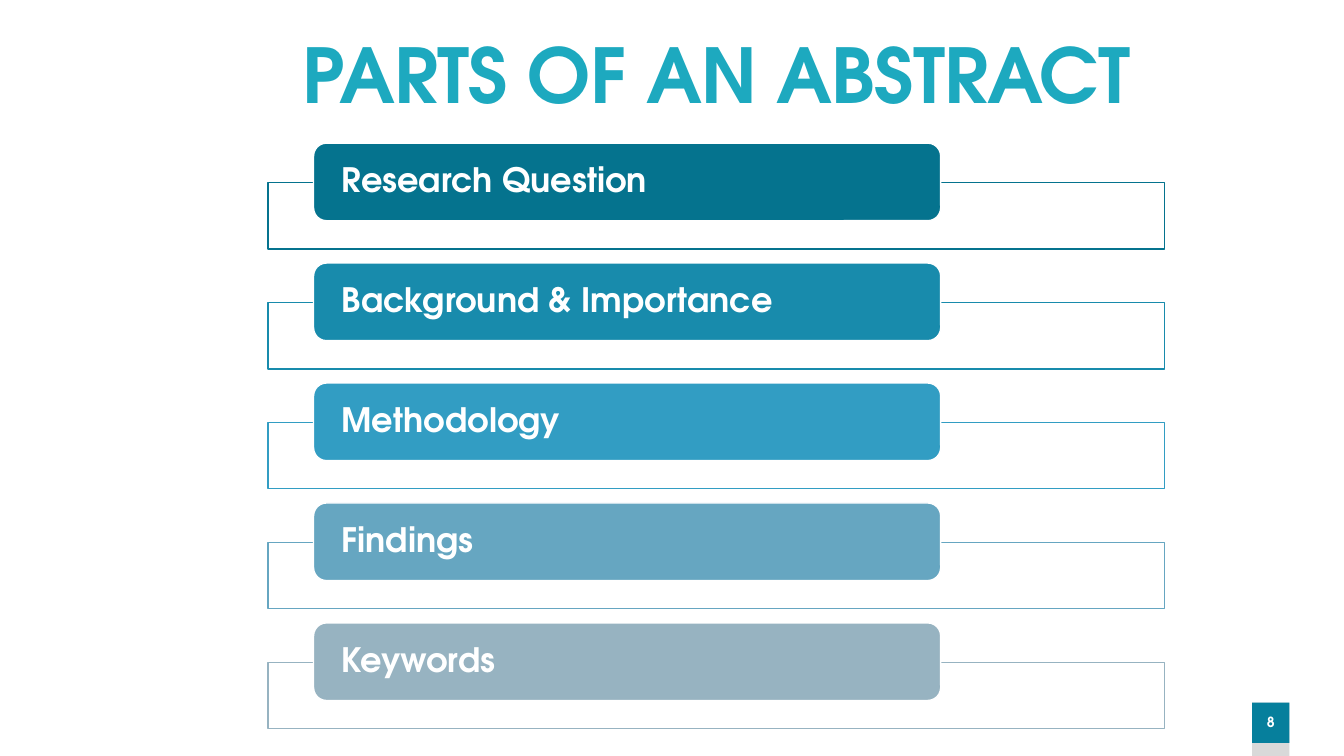
from pptx import Presentation
from pptx.dml.color import RGBColor
from pptx.enum import shapes, text
from pptx.oxml.ns import qn
from pptx.util import Inches, Pt
from lxml import etree

# Content
TITLE = "PARTS OF AN ABSTRACT"
PAGE_NUMBER = "8"
PARTS = [
    ("Research Question", "05738E"),
    ("Background & Importance", "188BAC"),
    ("Methodology", "329DC3"),
    ("Findings", "66A6C1"),
    ("Keywords", "97B3C1"),
]

# Style and layout, in inches
COLORS = {"title": "1DA9BF", "white": "FFFFFF", "number": "067F9C", "strip": "D9D9D9"}
FONT = "TeX Gyre Adventor"
FIRST_TOP, ROW_STEP = 1.42, 1.19
FRAME_DROP = 0.39


def write(shape, words, size, color, align=text.PP_ALIGN.LEFT,
          anchor=text.MSO_ANCHOR.MIDDLE, insets=(0.1, 0.05), before=0, tracking=0):
    """Fill a shape with one bold paragraph."""
    frame = shape.text_frame
    frame.word_wrap = True
    frame.auto_size = text.MSO_AUTO_SIZE.NONE
    frame.vertical_anchor = anchor
    frame.margin_left = frame.margin_right = Inches(insets[0])
    frame.margin_top = frame.margin_bottom = Inches(insets[1])
    para = frame.paragraphs[0]
    para.alignment = align
    para.line_spacing = 0.9
    para.space_before = Pt(before)
    span = para.add_run()
    span.text = words
    span.font.name = FONT
    span.font.size = Pt(size)
    span.font.bold = True
    span.font.color.rgb = RGBColor.from_string(color)
    if tracking:
        span.font._element.set("spc", str(round(tracking * 100)))


def add_block(kind, box, fill, line=None, opacity=100):
    shape = page.shapes.add_shape(kind, *map(Inches, box))
    shape.shadow.inherit = False
    shape.fill.solid()
    shape.fill.fore_color.rgb = RGBColor.from_string(fill)
    if opacity < 100:
        color = shape.fill._xPr.find(qn("a:solidFill"))[0]
        etree.SubElement(color, qn("a:alpha"), val=str(opacity * 1000))
    if line:
        shape.line.color.rgb = RGBColor.from_string(line)
        shape.line.width = Pt(1)
    else:
        shape.line.fill.background()
    return shape


deck = Presentation()
deck.slide_width, deck.slide_height = Inches(13.33), Inches(7.5)
page = deck.slides.add_slide(deck.slide_layouts[5])
RECTANGLE = shapes.MSO_SHAPE.RECTANGLE
ROUNDED = shapes.MSO_SHAPE.ROUNDED_RECTANGLE

# Title
title = page.shapes.title
title.left, title.top, title.width, title.height = map(Inches, (2.14, 0.33, 9.92, 0.65))
write(title, TITLE, 54, COLORS["title"], align=text.PP_ALIGN.CENTER,
      anchor=text.MSO_ANCHOR.TOP, tracking=-0.6)

# Page number
add_block(RECTANGLE, (12.42, 6.97, 0.37, 0.53), COLORS["strip"])
number = add_block(RECTANGLE, (12.42, 6.97, 0.37, 0.4), COLORS["number"])
write(number, PAGE_NUMBER, 10, COLORS["white"], align=text.PP_ALIGN.CENTER,
      insets=(0, 0.05))

# One outlined frame and one label per part
for row, (name, color) in enumerate(PARTS):
    top = FIRST_TOP + row * ROW_STEP
    add_block(RECTANGLE, (2.66, top + FRAME_DROP, 8.89, 0.66), COLORS["white"],
              line=color, opacity=10 * 9)
    label = add_block(ROUNDED, (3.11, top, 6.22, 0.77), color, line=COLORS["white"])
    write(label, name, 24, COLORS["white"], insets=(0.24, 0))

deck.save("out.pptx")
